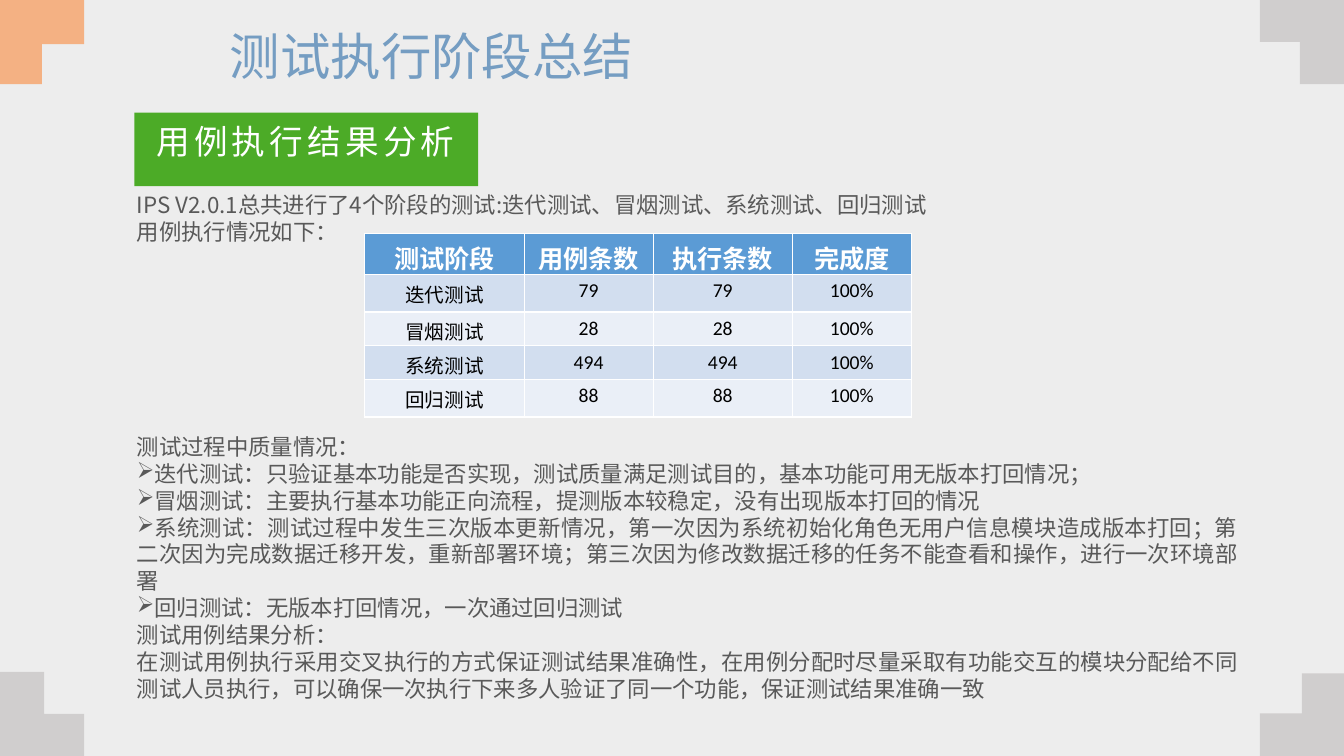
from dataclasses import dataclass

from lxml import etree
from pptx import Presentation
from pptx.dml.color import RGBColor
from pptx.enum import text as t
from pptx.enum import shapes as s
from pptx.oxml import ns
from pptx.util import Pt

WHITE = RGBColor(0xFF, 0xFF, 0xFF)
BLACK = RGBColor(0x00, 0x00, 0x00)
PAPER = RGBColor(0xED, 0xED, 0xED)
GREY = RGBColor(0xD0, 0xCE, 0xCE)
ORANGE = RGBColor(0xF4, 0xB1, 0x83)
GREEN = RGBColor(0x4C, 0xAB, 0x27)
TITLE_BLUE = RGBColor(0x75, 0x9D, 0xC2)
BODY_GREY = RGBColor(0x59, 0x59, 0x59)
HEADER_BLUE = RGBColor(0x5B, 0x9B, 0xD5)
BANDS = (RGBColor(0xD2, 0xDE, 0xEF), RGBColor(0xEA, 0xEF, 0xF7))
CJK_FONT = "Noto Sans CJK SC"
TABLE_FONT = "Calibri"
BODY_LINE = 19.2
TABLE_GAP = 7 * BODY_LINE


@dataclass(frozen=True)
class Corner:
    x: float
    y: float
    right: int
    down: int
    stem: float
    bar: float
    color: RGBColor


@dataclass(frozen=True)
class Line:
    text: str
    bullet: bool = False
    before: float = 0


CORNERS = (
    Corner(0, 540, 1, -1, 31.5, 30, GREY),
    Corner(0, 0, 1, 1, 30, 31.5, ORANGE),
    Corner(960, 0, -1, 1, 31.5, 30, GREY),
    Corner(960, 541, -1, -1, 30, 31.5, GREY),
)
BODY = (
    Line("IPS V2.0.1总共进行了4个阶段的测试:迭代测试、冒烟测试、系统测试、回归测试"),
    Line("用例执行情况如下："),
    Line("测试过程中质量情况：", before=TABLE_GAP),
    Line("迭代测试：只验证基本功能是否实现，测试质量满足测试目的，基本功能可用无版本打回情况；", True),
    Line("冒烟测试：主要执行基本功能正向流程，提测版本较稳定，没有出现版本打回的情况", True),
    Line("系统测试：测试过程中发生三次版本更新情况，第一次因为系统初始化角色无用户信息模块造成版本打回；"
         "第二次因为完成数据迁移开发，重新部署环境；第三次因为修改数据迁移的任务不能查看和操作，"
         "进行一次环境部署", True),
    Line("回归测试：无版本打回情况，一次通过回归测试", True),
    Line("测试用例结果分析："),
    Line("在测试用例执行采用交叉执行的方式保证测试结果准确性，在用例分配时尽量采取有功能交互的模块"
         "分配给不同测试人员执行，可以确保一次执行下来多人验证了同一个功能，保证测试结果准确一致"),
)
ROWS = (
    ("测试阶段", "用例条数", "执行条数", "完成度"),
    ("迭代测试", "79", "79", "100%"),
    ("冒烟测试", "28", "28", "100%"),
    ("系统测试", "494", "494", "100%"),
    ("回归测试", "88", "88", "100%"),
)
COLUMN_WIDTHS = (113.8, 92.2, 99.4, 85)
ROW_HEIGHTS = (27, 27, 22.5, 23.5, 27)


def set_font(para, size: float, color: RGBColor, name: str = CJK_FONT, bold: bool = False) -> None:
    para.font.size = Pt(size)
    para.font.bold = bold
    para.font.color.rgb = color
    para.font.name = name


def set_east_asian(para, tracking: int = 0) -> None:
    defaults = para._p.pPr.find(ns.qn("a:defRPr"))
    etree.SubElement(defaults, ns.qn("a:ea")).set("typeface", CJK_FONT)
    if tracking:
        defaults.set("spc", str(tracking))


def draw_corner(page, corner: Corner) -> None:
    outline = ((0, 0), (60, 0), (60, corner.bar), (corner.stem, corner.bar), (corner.stem, 60), (0, 60))
    points = [(Pt(corner.x + corner.right * x), Pt(corner.y + corner.down * y)) for x, y in outline]
    builder = page.shapes.build_freeform(*points[0], scale=1.0)
    builder.add_line_segments(points[1:], close=True)
    shape = builder.convert_to_shape()
    shape.shadow.inherit = False
    shape.fill.solid()
    shape.fill.fore_color.rgb = corner.color
    shape.line.fill.background()


def draw_title(page) -> None:
    title = page.shapes.title
    title.left, title.top, title.width, title.height = Pt(157), Pt(18), Pt(646.6), Pt(48)
    title.text_frame.text = "测试执行阶段总结"
    title.text_frame.vertical_anchor = t.MSO_ANCHOR.MIDDLE
    para = title.text_frame.paragraphs[0]
    para.alignment = t.PP_ALIGN.LEFT
    para.line_spacing = 0.9
    set_font(para, 36, TITLE_BLUE)
    set_east_asian(para)


def draw_heading(page) -> None:
    band = page.shapes.add_shape(s.MSO_SHAPE.RECTANGLE, Pt(96), Pt(80.5), Pt(245.5), Pt(52.5))
    band.shadow.inherit = False
    band.fill.solid()
    band.fill.fore_color.rgb = GREEN
    band.line.fill.background()
    box = page.shapes.add_textbox(Pt(102), Pt(82.5), Pt(232.5), Pt(42))
    box.text_frame.word_wrap = False
    para = box.text_frame.paragraphs[0]
    para.text = "用例执行结果分析"
    para.alignment = t.PP_ALIGN.CENTER
    set_font(para, 24, WHITE)
    set_east_asian(para, 300)


def draw_body(page) -> None:
    box = page.shapes.add_textbox(Pt(90.7), Pt(133), Pt(801.4), Pt(395))
    frame = box.text_frame
    frame.word_wrap = True
    for index, line in enumerate(BODY):
        para = frame.add_paragraph() if index else frame.paragraphs[0]
        para.text = line.text
        para.alignment = t.PP_ALIGN.JUSTIFY
        para.line_spacing = Pt(BODY_LINE)
        para.space_before = Pt(line.before)
        if line.bullet:
            properties = para._p.get_or_add_pPr()
            properties.set("marL", "0")
            properties.set("indent", "0")
            etree.SubElement(properties, ns.qn("a:buChar")).set("char", "➢")
        set_font(para, 16, BODY_GREY)
        set_east_asian(para)


def draw_table(page) -> None:
    frame = page.shapes.add_table(len(ROWS), len(COLUMN_WIDTHS), Pt(260.6), Pt(167),
                                  Pt(sum(COLUMN_WIDTHS)), Pt(sum(ROW_HEIGHTS)))
    table = frame.table
    for column, width in zip(table.columns, COLUMN_WIDTHS):
        column.width = Pt(width)
    for index, (row, height, values) in enumerate(zip(table.rows, ROW_HEIGHTS, ROWS)):
        row.height = Pt(height)
        header = index == 0
        for cell, value in zip(row.cells, values):
            cell.fill.solid()
            cell.fill.fore_color.rgb = HEADER_BLUE if header else BANDS[(index - 1) % 2]
            para = cell.text_frame.paragraphs[0]
            para.text = value
            para.alignment = t.PP_ALIGN.CENTER
            set_font(para, 18 if header else 14, WHITE if header else BLACK, TABLE_FONT, header)


def main() -> None:
    deck = Presentation()
    deck.slide_width, deck.slide_height = Pt(960), Pt(540)
    page = deck.slides.add_slide(deck.slide_layouts[5])
    page.background.fill.solid()
    page.background.fill.fore_color.rgb = PAPER
    for corner in CORNERS:
        draw_corner(page, corner)
    draw_title(page)
    draw_heading(page)
    draw_body(page)
    draw_table(page)
    deck.save("out.pptx")


if __name__ == "__main__":
    main()
